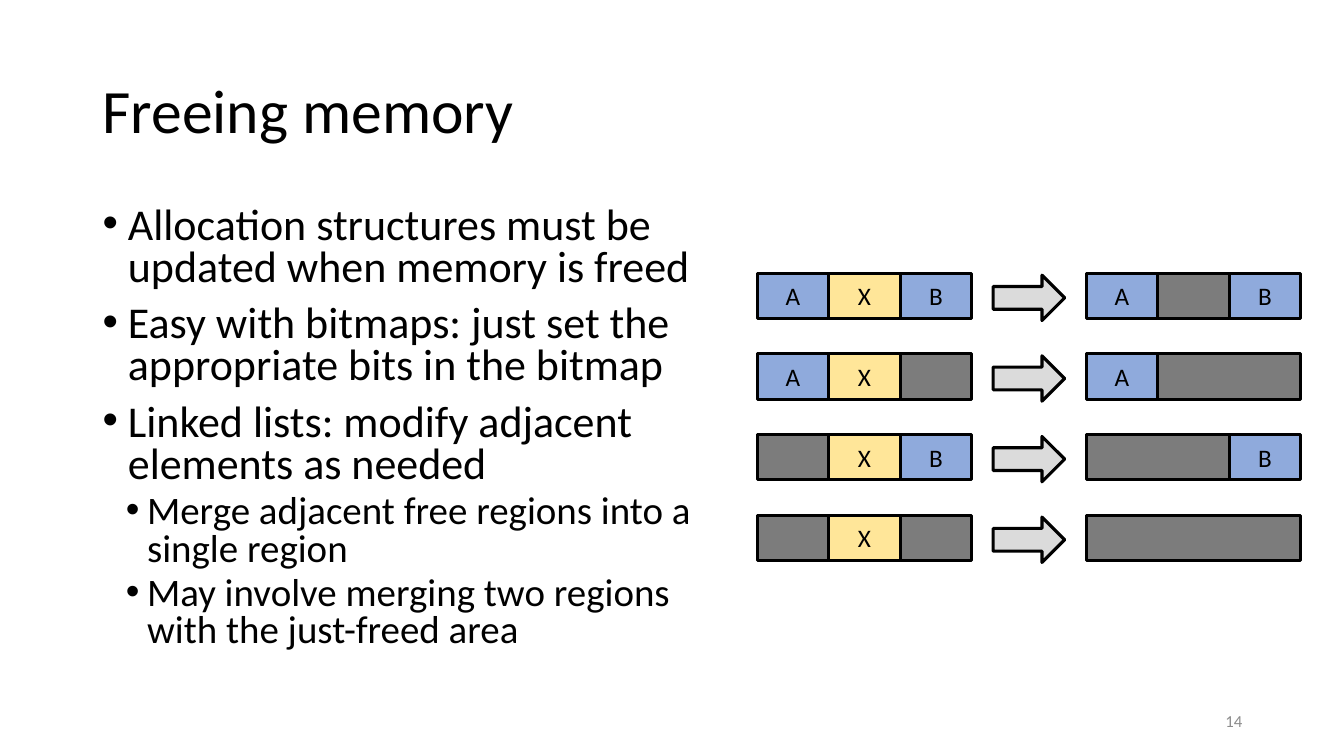
import itertools
from dataclasses import dataclass, field

import pptx
import pptx.dml.color
import pptx.enum.shapes
import pptx.enum.text
import pptx.oxml.ns
import pptx.util
from lxml import etree

In, Pt = pptx.util.Inches, pptx.util.Pt
ALIGN, ANCHOR = pptx.enum.text.PP_ALIGN, pptx.enum.text.MSO_ANCHOR
SHAPE = pptx.enum.shapes.MSO_SHAPE
WIDTH, HEIGHT = 13.33, 7.5


@dataclass
class Theme:
    font: str = "Calibri"
    text: str = "000000"
    muted: str = "8C8C8C"
    arrow: str = "DBDBDB"
    outline: float = 2.25
    title: float = 44
    number: float = 12
    label: float = 18
    body: tuple = (31.4, 27.8)
    blocks: dict = field(default_factory=lambda: {
        "A": "8FAADC", "B": "8FAADC", "X": "FFE699", FREE: "7C7C7C"})


FREE = "-"
THEME = Theme()

# One dict of paragraph settings per outline level
LEVELS = (
    {"left": 0.25, "hanging": 0.25, "before": 10},
    {"left": 0.44, "hanging": 0.21, "before": 5},
)
POINTS = (
    (0, "Allocation structures must be updated when memory is freed"),
    (0, "Easy with bitmaps: just set the appropriate bits in the bitmap"),
    (0, "Linked lists: modify adjacent elements as needed"),
    (1, "Merge adjacent free regions into a single region"),
    (1, "May involve merging two regions with the just-freed area"),
)
# Memory before and after X is freed
CASES = (("AXB", "A-B"), ("AX-", "A--"), ("-XB", "--B"), ("-X-", "---"))


def rgb(value):
    return pptx.dml.color.RGBColor.from_string(value)


def write(p, text, size, color=THEME.text, **formats):
    for name, value in formats.items():
        setattr(p, name, value)
    r = p.add_run()
    r.text = text
    for name, value in {"name": THEME.font, "size": Pt(size)}.items():
        setattr(r.font, name, value)
    r.font.color.rgb = rgb(color)


def add_text_frame(s, box, anchor):
    tf = s.shapes.add_textbox(*map(In, box)).text_frame
    tf.word_wrap = True
    tf.vertical_anchor = anchor
    return tf


def add_title(s, box):
    tf = add_text_frame(s, box, ANCHOR.MIDDLE)
    write(tf.paragraphs[0], "Freeing memory", THEME.title, line_spacing=0.9)


def add_slide_number(s, box):
    tf = add_text_frame(s, box, ANCHOR.MIDDLE)
    write(tf.paragraphs[0], "14", THEME.number, THEME.muted,
          alignment=ALIGN.RIGHT)


def set_bullet(p, left, hanging):
    pPr = p._p.get_or_add_pPr()
    pPr.set("marL", str(In(left)))
    pPr.set("indent", str(-In(hanging)))
    for tag, key, value in (("a:buFont", "typeface", "Arial"),
                            ("a:buChar", "char", "•")):
        etree.SubElement(pPr, pptx.oxml.ns.qn(tag)).set(key, value)


def add_points(s, box):
    tf = add_text_frame(s, box, ANCHOR.TOP)
    for i, (level, text) in enumerate(POINTS):
        p = tf.add_paragraph() if i else tf.paragraphs[0]
        rule = LEVELS[level]
        set_bullet(p, rule["left"], rule["hanging"])
        write(p, text, THEME.body[level], level=level, line_spacing=0.8,
              space_before=Pt(rule["before"] if i else 0))


def add_block(s, kind, box, fill, label=""):
    sp = s.shapes.add_shape(kind, *map(In, box))
    sp.shadow.inherit = False
    sp.fill.solid()
    sp.fill.fore_color.rgb = rgb(fill)
    sp.line.color.rgb = rgb(THEME.text)
    sp.line.width = Pt(THEME.outline)
    if label:
        sp.text_frame.vertical_anchor = ANCHOR.MIDDLE
        write(sp.text_frame.paragraphs[0], label, THEME.label,
              alignment=ALIGN.CENTER)


def add_memory(s, x, y, cell, height, regions):
    """Draw a strip of cells, with neighbouring free cells as one block."""
    for kind, run in itertools.groupby(regions):
        width = cell * len(list(run))
        add_block(s, SHAPE.RECTANGLE, (x, y, width, height),
                  THEME.blocks[kind], "" if kind == FREE else kind)
        x += width


def add_cases(s, box):
    """Fill the box with rows of: three cells, gap, arrow, gap, three cells."""
    x, y, width, height = box
    gap_share = 0.3
    cell = width / (7 + 2 * gap_share)
    gap = gap_share * cell
    row = 0.45
    pitch = (height - row) / (len(CASES) - 1)
    arrow_x = x + 3 * cell + gap
    for i, (before, after) in enumerate(CASES):
        top = y + i * pitch
        add_memory(s, x, top, cell, row, before)
        add_block(s, SHAPE.RIGHT_ARROW, (arrow_x, top + 0.02, cell, row),
                  THEME.arrow)
        add_memory(s, arrow_x + cell + gap, top, cell, row, after)


def main():
    prs = pptx.Presentation()
    prs.slide_width, prs.slide_height = In(WIDTH), In(HEIGHT)
    s = prs.slides.add_slide(prs.slide_layouts[6])
    add_points(s, (0.92, 2, 6.22, 4.76))
    add_title(s, (0.92, 0.4, 11.5, 1.45))
    add_slide_number(s, (9.42, 6.95, 3, 0.4))
    add_cases(s, (7.51, 2.71, 5.39, 2.85))
    prs.save("out.pptx")


if __name__ == "__main__":
    main()
